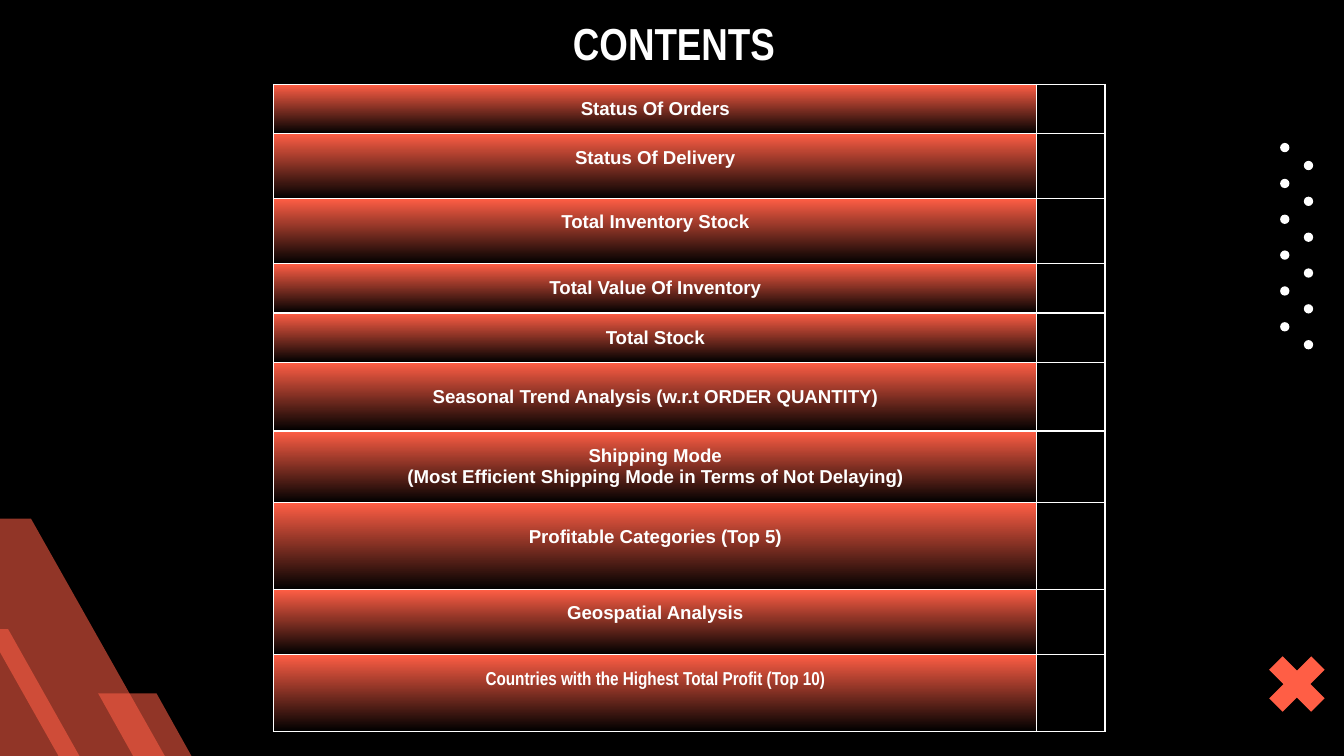
import pptx
import pptx.dml.color
import pptx.enum.shapes
import pptx.enum.text
import pptx.oxml
import pptx.oxml.ns
import pptx.util

Pt = pptx.util.Pt
RGBColor = pptx.dml.color.RGBColor
MSO_SHAPE = pptx.enum.shapes.MSO_SHAPE
ANCHOR = pptx.enum.text.MSO_ANCHOR
CENTER = pptx.enum.text.PP_ALIGN.CENTER
qn = pptx.oxml.ns.qn

BLACK = RGBColor(0x00, 0x00, 0x00)
WHITE = RGBColor(0xFF, 0xFF, 0xFF)
CORAL = RGBColor(0xFF, 0x5E, 0x45)

MARGIN = 7.2
COLUMN_WIDTHS = (409, 36.5)
# fields: text, row height, top margin (None centres the text), font
TOPICS = [
    ("Status Of Orders", 25.9, None, "Arial"),
    ("Status Of Delivery", 34.8, MARGIN, "Arial"),
    ("Total Inventory Stock", 34.8, MARGIN, "Arial"),
    ("Total Value Of Inventory", 25.9, None, "Arial"),
    ("Total Stock", 25.9, None, "Arial"),
    ("Seasonal Trend Analysis (w.r.t ORDER QUANTITY)", 36.8, None, "Arial"),
    ("Shipping Mode\v(Most Efficient Shipping Mode in Terms of Not Delaying)", 36.8, None, "Arial"),
    ("Profitable Categories (Top 5)", 46.5, 13, "Arial"),
    ("Geospatial Analysis", 34.8, MARGIN, "Arial"),
    ("Countries with the Highest Total Profit (Top 10)", 41.2, 9.6, "Arial Narrow"),
]
STRIPES = [
    (-61.9, 337, 154.1, 156.2),
    (-40.3, 277.9, 132.5, 133.9),
    (52.6, 371.5, 72.7, 74.2),
]


def add_filled_shape(s, kind, left, top, width, height, color, adjustment=None):
    sp = s.shapes.add_shape(kind, Pt(left), Pt(top), Pt(width), Pt(height))
    sp.shadow.inherit = False
    sp.fill.solid()
    sp.fill.fore_color.rgb = color
    sp.line.fill.background()
    if adjustment is not None:
        sp.adjustments[0] = adjustment
    return sp


def add_stripe(s, left, top, width, height):
    sp = add_filled_shape(s, MSO_SHAPE.PARALLELOGRAM, left, top, width, height, CORAL, 0.57)
    sp._element.spPr.find(qn("a:xfrm")).set("flipH", "1")
    color = sp._element.spPr.find(qn("a:solidFill")).find(qn("a:srgbClr"))
    color.append(pptx.oxml.parse_xml(
        f'<a:alpha {pptx.oxml.ns.nsdecls("a")} val="57000"/>'))


def add_dots(s):
    for left, top in ((685.8, 76.6), (698.5, 86.2)):
        for i in range(6):
            add_filled_shape(s, MSO_SHAPE.OVAL, left, top + 19.2 * i, 5, 5, WHITE)


def format_text(tf, font, size):
    p = tf.paragraphs[0]
    p.alignment = CENTER
    for r in p.runs:
        r.font.name = font
        r.font.size = Pt(size)
        r.font.bold = True
        r.font.color.rgb = WHITE


def add_title(s, text):
    sp = s.shapes.add_textbox(Pt(57.6), Pt(0), Pt(607), Pt(45.4))
    tf = sp.text_frame
    tf.word_wrap = True
    tf.vertical_anchor = ANCHOR.MIDDLE
    tf.text = text
    format_text(tf, "Arial Narrow", 24)


def add_borders(cell):
    tcPr = cell._tc.get_or_add_tcPr()
    for i, side in enumerate(("lnL", "lnR", "lnT", "lnB")):
        tcPr.insert(i, pptx.oxml.parse_xml(
            f'<a:{side} {pptx.oxml.ns.nsdecls("a")} w="{Pt(0.75)}">'
            f'<a:solidFill><a:srgbClr val="{WHITE}"/></a:solidFill></a:{side}>'))


def fill_topic_cell(cell, text, top, font):
    cell.fill.gradient()
    cell.fill.gradient_angle = 270
    for stop, color in zip(cell.fill.gradient_stops, (CORAL, BLACK)):
        stop.color.rgb = color
    cell.margin_left = cell.margin_right = cell.margin_bottom = Pt(MARGIN)
    cell.margin_top = Pt(MARGIN if top is None else top)
    cell.vertical_anchor = ANCHOR.MIDDLE if top is None else ANCHOR.TOP
    cell.text_frame.paragraphs[0].text = text
    format_text(cell.text_frame, font, 10)


def fill_empty_cell(cell):
    cell.fill.solid()
    cell.fill.fore_color.rgb = BLACK
    cell.text_frame.paragraphs[0]._p.get_or_add_endParaRPr().set("sz", "1000")


def add_contents_table(s):
    height = sum(topic[1] for topic in TOPICS)
    frame = s.shapes.add_table(len(TOPICS), 2, Pt(146.5), Pt(45.2),
                               Pt(sum(COLUMN_WIDTHS)), Pt(height))
    table = frame.table
    table.first_row = False
    table.horz_banding = False
    for column, width in zip(table.columns, COLUMN_WIDTHS):
        column.width = Pt(width)
    for row, (text, row_height, top, font) in zip(table.rows, TOPICS):
        row.height = Pt(row_height)
        fill_topic_cell(row.cells[0], text, top, font)
        fill_empty_cell(row.cells[1])
        for cell in row.cells:
            add_borders(cell)


def main():
    prs = pptx.Presentation()
    prs.slide_width = Pt(720)
    prs.slide_height = Pt(405)
    s = prs.slides.add_slide(prs.slide_layouts[6])
    s.background.fill.solid()
    s.background.fill.fore_color.rgb = BLACK
    add_dots(s)
    add_filled_shape(s, MSO_SHAPE.MATH_MULTIPLY, 673.2, 344.9, 43.2, 43.2, CORAL, 0.235)
    for stripe in STRIPES:
        add_stripe(s, *stripe)
    add_title(s, "CONTENTS")
    add_contents_table(s)
    prs.save("out.pptx")


if __name__ == "__main__":
    main()
